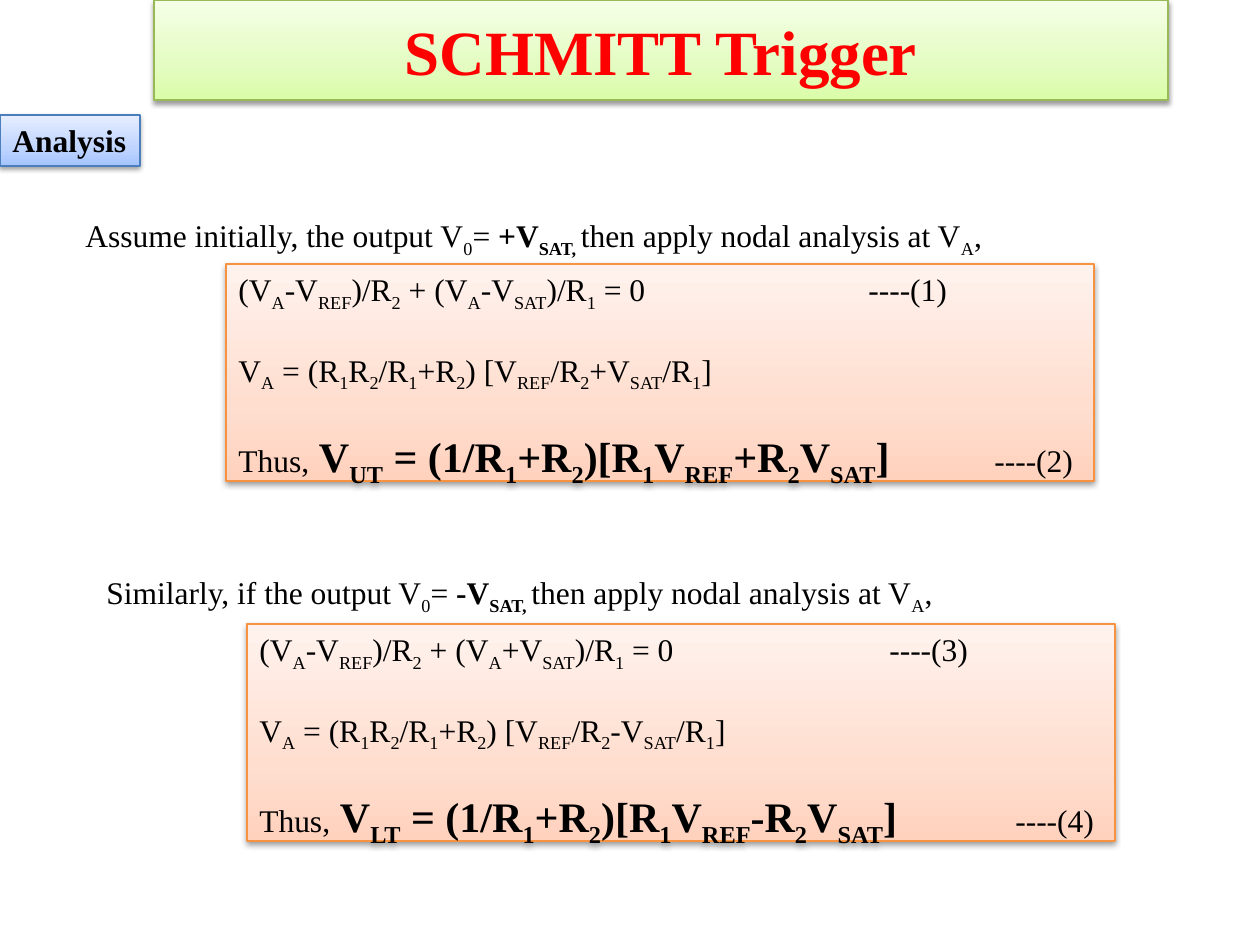
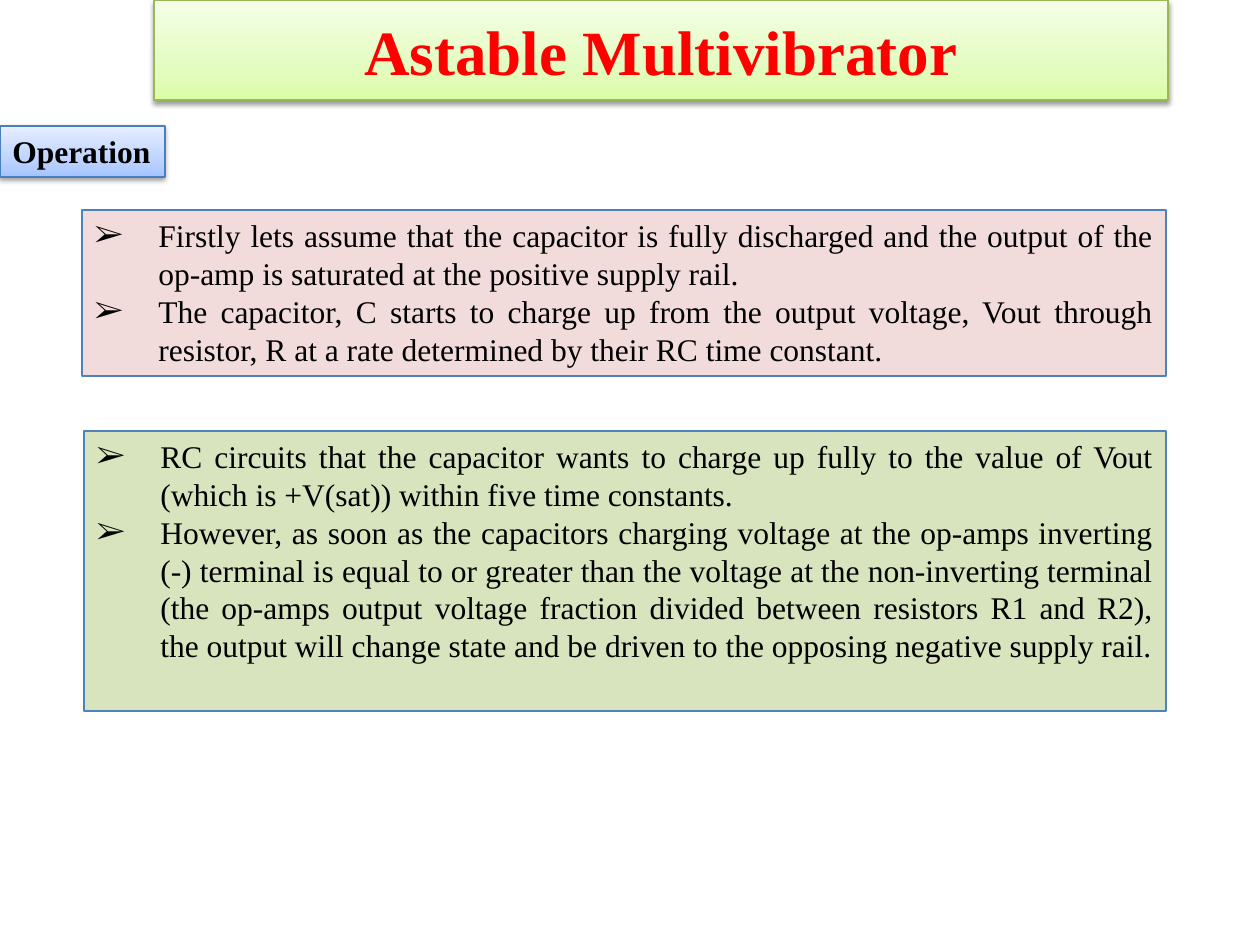
from copy import deepcopy

from lxml.etree import SubElement
from pptx import Presentation
from pptx.dml.color import RGBColor
from pptx.enum.shapes import MSO_SHAPE
from pptx.enum.text import MSO_ANCHOR, MSO_AUTO_SIZE, PP_ALIGN
from pptx.oxml.ns import qn
from pptx.util import Emu, Inches, Pt

FONT = "Times New Roman"
BODY, FORMULA, HEADING = 18, 24, 36
LINE_GAP = 21.4
BULLET_INDENT = 64
TAB_STOPS = (4, 5, 6)  # inches

BLACK = RGBColor(0x00, 0x00, 0x00)
RED = RGBColor(0xFF, 0x00, 0x00)
BLUE_LINE = RGBColor(0x4F, 0x81, 0xBD)
PINK = RGBColor(0xF2, 0xDC, 0xDB)
OLIVE = RGBColor(0xD7, 0xE4, 0xBD)

# Gradient colours from bottom to top, then the outline
GREEN_STYLE = (RGBColor(0xDA, 0xFD, 0xA7), RGBColor(0xE4, 0xFC, 0xC2),
               RGBColor(0xF5, 0xFF, 0xE7)), RGBColor(0x98, 0xB9, 0x55)
BLUE_STYLE = (RGBColor(0xA4, 0xC4, 0xFF), RGBColor(0xBF, 0xD4, 0xFF),
              RGBColor(0xE6, 0xEE, 0xFF)), RGBColor(0x4B, 0x7E, 0xBC)
ORANGE_STYLE = (RGBColor(0xFF, 0xD2, 0xBD), RGBColor(0xFF, 0xDE, 0xD0),
                RGBColor(0xFF, 0xF2, 0xED)), RGBColor(0xF6, 0x92, 0x40)


def px(n):
    return Emu(round(n * 914400 / 126))


class Deck:
    def __init__(self):
        self.prs = Presentation()
        self.prs.slide_width, self.prs.slide_height = px(1260), px(945)
        self.s = None

    def new_slide(self, title):
        self.s = self.prs.slides.add_slide(self.prs.slide_layouts[5])
        sp = self.s.shapes.title
        sp.left, sp.top, sp.width, sp.height = map(px, (154, 0, 1014, 100))
        self.glossy(sp, GREEN_STYLE)
        tf = self.frame(sp, MSO_ANCHOR.MIDDLE)
        p = tf.paragraphs[0]
        p.alignment = PP_ALIGN.CENTER
        self.run(p, title, HEADING, True, RED)

    def glossy(self, sp, style):
        """Give a shape a three-stop vertical gradient, outline and soft shadow."""
        colors, line = style
        sp.fill.gradient()
        sp.fill.gradient_angle = 90
        stops = sp._element.spPr.find(".//" + qn("a:gsLst"))
        stops.insert(1, deepcopy(stops[0]))
        for stop, color, position in zip(sp.fill.gradient_stops, colors, (0, 0.35, 1)):
            stop.color.rgb = color
            stop.position = position
        self.outline(sp, line)
        effects = sp._element.spPr.find(qn("a:effectLst"))
        shadow = SubElement(effects, qn("a:outerShdw"), blurRad=str(Pt(3.1)),
                            dist=str(Pt(1.6)), dir="5400000", rotWithShape="0")
        color = SubElement(shadow, qn("a:srgbClr"), val=str(BLACK))
        SubElement(color, qn("a:alpha"), val="38000")

    def outline(self, sp, color):
        sp.line.color.rgb = color
        sp.line.width = Pt(0.75)
        sp.shadow.inherit = False

    def frame(self, sp, anchor=MSO_ANCHOR.TOP, wrap=True):
        tf = sp.text_frame
        tf.auto_size = MSO_AUTO_SIZE.NONE
        tf.word_wrap = wrap
        tf.vertical_anchor = anchor
        tf.paragraphs[0].alignment = PP_ALIGN.LEFT
        return tf

    def rect(self, *box):
        return self.s.shapes.add_shape(MSO_SHAPE.RECTANGLE, *map(px, box))

    def run(self, p, text, size=BODY, bold=False, color=BLACK):
        r = p.add_run()
        r.text = text
        r.font.name, r.font.size, r.font.bold = FONT, Pt(size), bold
        r.font.color.rgb = color
        return r

    def math(self, p, text, size=BODY, bold=False):
        """Add runs; each part between a pair of underscores is a subscript."""
        for i, part in enumerate(text.split("_")):
            if part:
                r = self.run(p, part, size, bold)
                if i % 2:
                    r.font._element.set("baseline", "-25000")

    def label(self, text, top, width):
        sp = self.rect(0, top, width, 51)
        self.glossy(sp, BLUE_STYLE)
        self.run(self.frame(sp, wrap=False).paragraphs[0], text, bold=True)

    def assumption(self, left, top, width, opening, sign):
        sp = self.s.shapes.add_textbox(*map(px, (left, top, width, 51)))
        p = self.frame(sp).paragraphs[0]
        self.math(p, f"{opening} the output V_0_=")
        self.math(p, f" {sign}V_SAT, _", bold=True)
        self.math(p, "then apply nodal analysis at V_A_,")

    def derivation(self, left, top, sign, node_sign, threshold, number):
        sp = self.rect(left, top, 868, 217)
        self.glossy(sp, ORANGE_STYLE)
        tf = self.frame(sp)
        lines = (
            [(f"(V_A_-V_REF_)/R_2_ + (V_A_{node_sign}V_SAT_)/R_1_ = 0"
              f"\t\t----({number})",)],
            [(f"V_A_ = (R_1_R_2_/R_1_+R_2_) [V_REF_/R_2_{sign}V_SAT_/R_1_]",)],
            [("Thus,",),
             (f" V_{threshold}_ = (1/R_1_+R_2_)[R_1_V_REF_{sign}R_2_V_SAT_]",
              FORMULA, True),
             (f"\t----({number + 1})",)],
        )
        for i, parts in enumerate(lines):
            p = tf.add_paragraph() if i else tf.paragraphs[0]
            p.alignment = PP_ALIGN.LEFT
            p.space_before = Pt(LINE_GAP if i else 0)
            tabs = SubElement(p._p.get_or_add_pPr(), qn("a:tabLst"))
            for stop in TAB_STOPS:
                SubElement(tabs, qn("a:tab"), pos=str(Inches(stop)), algn="l")
            for part in parts:
                self.math(p, *part)

    def bullets(self, box, fill, items):
        sp = self.rect(*box)
        sp.fill.solid()
        sp.fill.fore_color.rgb = fill
        self.outline(sp, BLUE_LINE)
        tf = self.frame(sp)
        for i, item in enumerate(items):
            p = tf.add_paragraph() if i else tf.paragraphs[0]
            p.alignment = PP_ALIGN.JUSTIFY
            pPr = p._p.get_or_add_pPr()
            pPr.set("marL", str(px(BULLET_INDENT)))
            pPr.set("indent", str(-px(BULLET_INDENT)))
            SubElement(pPr, qn("a:buFont"), typeface=FONT)
            SubElement(pPr, qn("a:buChar"), char="➢")
            self.run(p, item)


def main():
    deck = Deck()

    deck.new_slide("SCHMITT Trigger")
    deck.label("Analysis", 115, 140)
    deck.assumption(73, 210, 936, "Assume initially,", "+")
    deck.derivation(226, 264, "+", "-", "UT", 1)
    deck.assumption(94, 567, 865, "Similarly, if", "-")
    deck.derivation(247, 624, "-", "+", "LT", 3)

    deck.new_slide("Astable Multivibrator")
    deck.label("Operation", 126, 165)
    deck.bullets((82, 210, 1084, 166), PINK, (
        "Firstly lets assume that the capacitor is fully discharged and the output "
        "of the op-amp is saturated at the positive supply rail.",
        "The capacitor, C starts to charge up from the output voltage, Vout through "
        "resistor, R at a rate determined by their RC time constant.",
    ))
    deck.bullets((84, 431, 1082, 280), OLIVE, (
        "RC circuits that the capacitor wants to charge up fully to the value of Vout "
        "(which is +V(sat)) within five time constants.",
        "However, as soon as the capacitors charging voltage at the op-amps inverting "
        "(-) terminal is equal to or greater than the voltage at the non-inverting "
        "terminal (the op-amps output voltage fraction divided between resistors R1 "
        "and R2), the output will change state and be driven to the opposing negative "
        "supply rail.",
    ))

    deck.prs.save("out.pptx")


if __name__ == "__main__":
    main()
